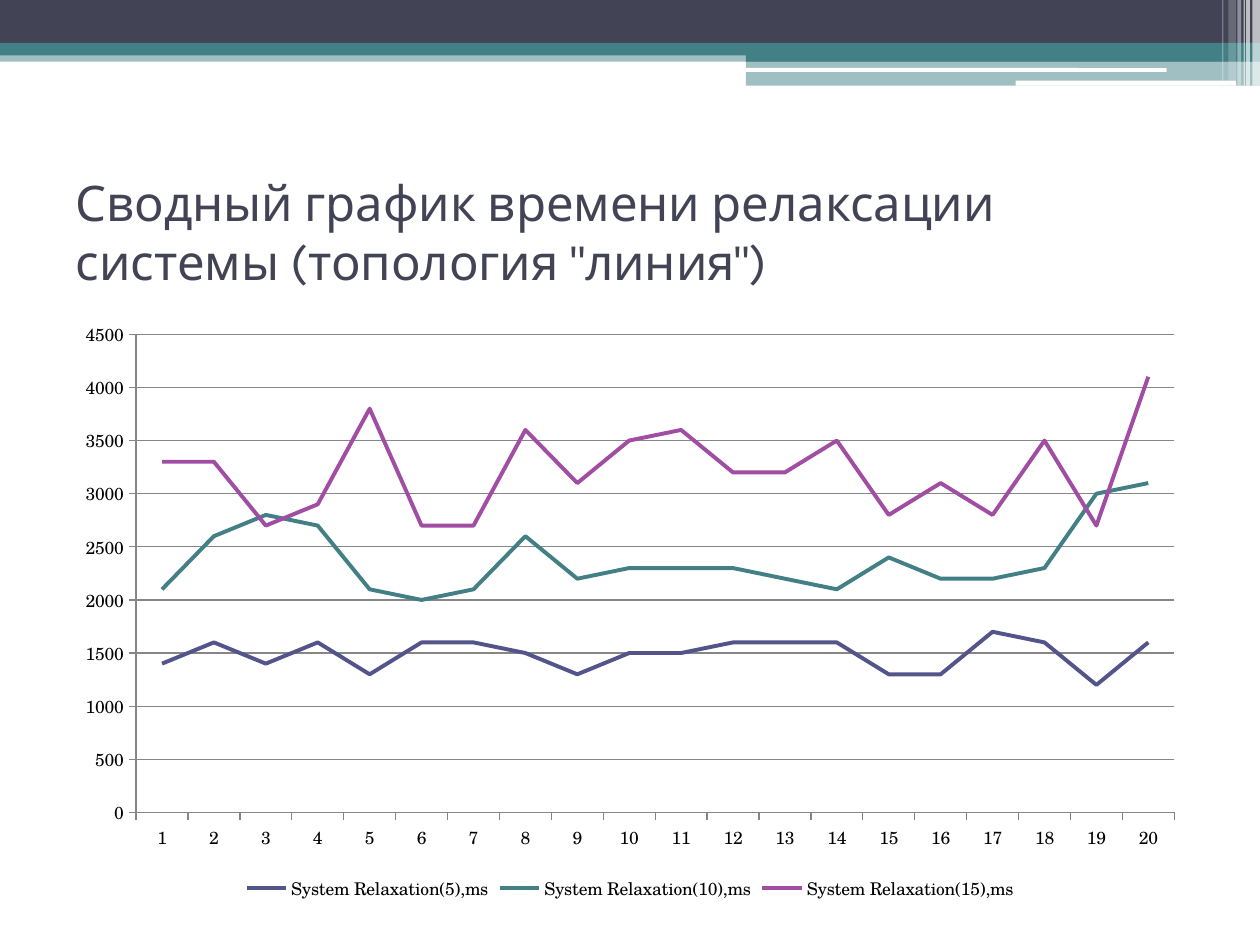
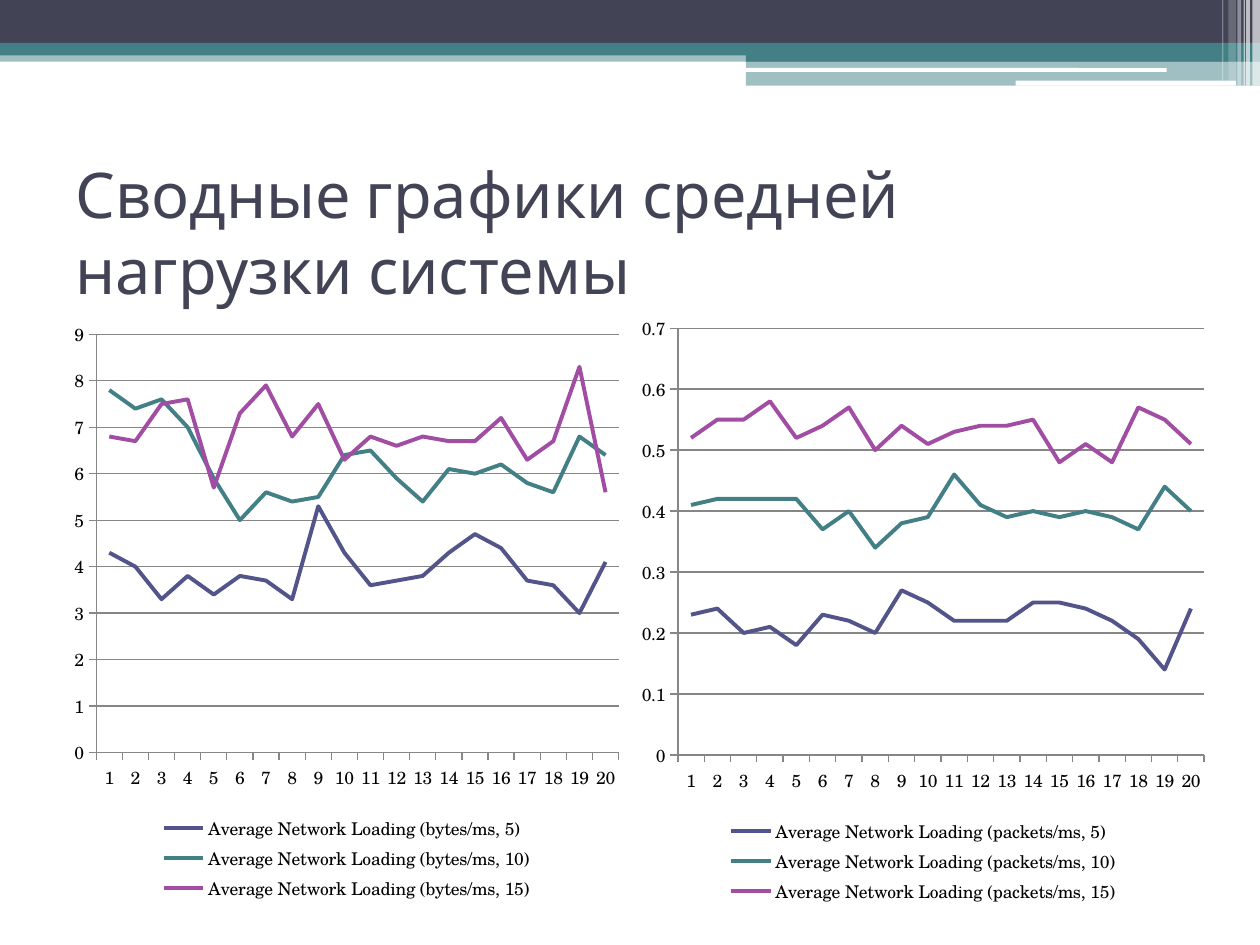
"""Two slides of line charts on network relaxation time and load, under a shared banded header."""
from dataclasses import dataclass

from lxml import etree
from pptx import Presentation
from pptx.chart.data import CategoryChartData
from pptx.dml.color import RGBColor
from pptx.enum.chart import XL_CHART_TYPE, XL_LEGEND_POSITION, XL_MARKER_STYLE, XL_TICK_MARK
from pptx.enum.shapes import MSO_SHAPE
from pptx.enum.text import MSO_ANCHOR, MSO_AUTO_SIZE, PP_ALIGN
from pptx.oxml.ns import qn
from pptx.util import Inches, Pt

LINE_CHART = XL_CHART_TYPE.LINE
LEGEND_BOTTOM = XL_LEGEND_POSITION.BOTTOM
NO_MARKER = XL_MARKER_STYLE.NONE
TICK_OUT, TICK_NONE = XL_TICK_MARK.OUTSIDE, XL_TICK_MARK.NONE
RECT, ROUNDED = MSO_SHAPE.RECTANGLE, MSO_SHAPE.ROUNDED_RECTANGLE
MIDDLE, LEFT, NO_FIT = MSO_ANCHOR.MIDDLE, PP_ALIGN.LEFT, MSO_AUTO_SIZE.NONE


@dataclass(frozen=True)
class Theme:
    navy: RGBColor = RGBColor.from_string("424456")
    teal: RGBColor = RGBColor.from_string("438086")
    white: RGBColor = RGBColor.from_string("FFFFFF")
    ink: RGBColor = RGBColor.from_string("000000")
    grid: RGBColor = RGBColor.from_string("868686")
    indigo: RGBColor = RGBColor.from_string("53548A")
    purple: RGBColor = RGBColor.from_string("A04DA3")
    title_font: str = "Karla"
    chart_font: str = "TeX Gyre Schola"
    chart_size: Pt = Pt(10)
    series_width: Pt = Pt(2.25)
    axis_width: Pt = Pt(0.75)


theme = Theme()
prs = Presentation()
prs.slide_width, prs.slide_height = Inches(10), Inches(7.5)
COLUMN, ROW = prs.slide_width / 100, prs.slide_height / 75


def place(left, top, width, height):
    """Turn columns and rows of the slide grid into lengths."""
    return round(left * COLUMN), round(top * ROW), round(width * COLUMN), round(height * ROW)


def style_line(line, color, width):
    """Give a chart line its colour and width."""
    line.color.rgb = color
    line.width = width


header_bands = [
    (RECT, (0, 4, 100, 0.9), theme.teal, 50),
    (RECT, (0, 0, 100, 3.4), theme.navy, 100),
    (RECT, (0, 3.4, 100, 1), theme.teal, 100),
    (RECT, (59.2, 3.9, 40.8, 1), theme.teal, 100),
    (RECT, (59.2, 4.8, 40.8, 2), theme.teal, 50),
    (ROUNDED, (59.1, 5.4, 33.5, 0.3), theme.white, 100),
    (ROUNDED, (80.6, 6.4, 17.5, 0.4), theme.white, 100),
]
edge_stripes = [
    (99.4, 0.6, 6.8, 65), (98.9, 0.3, 6.8, 65), (98.7, 0.1, 6.8, 60),
    (98.2, 0.3, 6.8, 40), (97.5, 0.6, 6.4, 20), (97, 0.1, 6.4, 30),
]
header_bands += [(RECT, (left, 0, width, height), theme.white, opacity)
                 for left, width, height, opacity in edge_stripes]

relaxation = {
    "box": (5, 24.6, 90, 47.3), "top": 4500, "step": 500,
    "series": {
        "System Relaxation(5),ms": [
            1400, 1600, 1400, 1600, 1300, 1600, 1600, 1500, 1300, 1500,
            1500, 1600, 1600, 1600, 1300, 1300, 1700, 1600, 1200, 1600],
        "System Relaxation(10),ms": [
            2100, 2600, 2800, 2700, 2100, 2000, 2100, 2600, 2200, 2300,
            2300, 2300, 2200, 2100, 2400, 2200, 2200, 2300, 3000, 3100],
        "System Relaxation(15),ms": [
            3300, 3300, 2700, 2900, 3800, 2700, 2700, 3600, 3100, 3500,
            3600, 3200, 3200, 3500, 2800, 3100, 2800, 3500, 2700, 4100],
    },
}
byte_load = {
    "box": (5, 24.6, 45, 47.3), "top": 9, "step": 1,
    "series": {
        "Average Network Loading (bytes/ms, 5)": [
            4.3, 4, 3.3, 3.8, 3.4, 3.8, 3.7, 3.3, 5.3, 4.3,
            3.6, 3.7, 3.8, 4.3, 4.7, 4.4, 3.7, 3.6, 3, 4.1],
        "Average Network Loading (bytes/ms, 10)": [
            7.8, 7.4, 7.6, 7, 5.9, 5, 5.6, 5.4, 5.5, 6.4,
            6.5, 5.9, 5.4, 6.1, 6, 6.2, 5.8, 5.6, 6.8, 6.4],
        "Average Network Loading (bytes/ms, 15)": [
            6.8, 6.7, 7.5, 7.6, 5.7, 7.3, 7.9, 6.8, 7.5, 6.3,
            6.8, 6.6, 6.8, 6.7, 6.7, 7.2, 6.3, 6.7, 8.3, 5.6],
    },
}
packet_load = {
    "box": (50, 24.1, 46.5, 48), "top": 0.7, "step": 0.1,
    "series": {
        "Average Network Loading (packets/ms, 5)": [
            0.23, 0.24, 0.2, 0.21, 0.18, 0.23, 0.22, 0.2, 0.27, 0.25,
            0.22, 0.22, 0.22, 0.25, 0.25, 0.24, 0.22, 0.19, 0.14, 0.24],
        "Average Network Loading (packets/ms, 10)": [
            0.41, 0.42, 0.42, 0.42, 0.42, 0.37, 0.4, 0.34, 0.38, 0.39,
            0.46, 0.41, 0.39, 0.4, 0.39, 0.4, 0.39, 0.37, 0.44, 0.4],
        "Average Network Loading (packets/ms, 15)": [
            0.52, 0.55, 0.55, 0.58, 0.52, 0.54, 0.57, 0.5, 0.54, 0.51,
            0.53, 0.54, 0.54, 0.55, 0.48, 0.51, 0.48, 0.57, 0.55, 0.51],
    },
}
pages = [
    ('Сводный график времени релаксации системы (топология "линия")', Pt(28), [relaxation]),
    ("Сводные графики средней нагрузки системы", Pt(36), [byte_load, packet_load]),
]
title_only = prs.slide_layouts[5]

for heading, heading_size, plots in pages:
    slide = prs.slides.add_slide(title_only)
    title = slide.shapes.title
    title.left, title.top, title.width, title.height = place(5, 12.5, 90, 11.7)
    title.text_frame.text = heading
    title.text_frame.auto_size = NO_FIT
    title.text_frame.vertical_anchor = MIDDLE
    title_line = title.text_frame.paragraphs[0]
    title_line.alignment = LEFT
    title_line.font.name = theme.title_font
    title_line.font.size = heading_size
    title_line.font.color.rgb = theme.navy

    for plot in plots:
        measurements = CategoryChartData()
        measurements.categories = [str(run) for run in range(1, 21)]
        for label, values in plot["series"].items():
            measurements.add_series(label, values)
        chart = slide.shapes.add_chart(LINE_CHART, *place(*plot["box"]), measurements).chart
        chart.has_title = False
        chart.font.name = theme.chart_font
        chart.font.size = theme.chart_size
        chart.font.color.rgb = theme.ink
        chart.has_legend = True
        chart.legend.position = LEGEND_BOTTOM
        chart.legend.include_in_layout = False
        chart.plots[0].vary_by_categories = False

        for axis in (chart.category_axis, chart.value_axis):
            axis.major_tick_mark, axis.minor_tick_mark = TICK_OUT, TICK_NONE
            style_line(axis.format.line, theme.grid, theme.axis_width)
        scale = chart.value_axis
        scale.minimum_scale, scale.maximum_scale = 0, plot["top"]
        scale.major_unit = plot["step"]
        scale.has_major_gridlines = True
        style_line(scale.major_gridlines.format.line, theme.grid, theme.axis_width)

        for series, color in zip(chart.plots[0].series, (theme.indigo, theme.teal, theme.purple)):
            series.smooth = False
            series.marker.style = NO_MARKER
            style_line(series.format.line, color, theme.series_width)

master_tree = prs.slide_master.element.cSld.spTree
for number, (outline, box, color, opacity) in enumerate(header_bands, start=101):
    band = slide.shapes.add_shape(outline, *place(*box))
    band.shadow.inherit = False
    band.line.fill.background()
    band.fill.solid()
    band.fill.fore_color.rgb = color
    if opacity < 100:
        tint = band.element.spPr.find(qn("a:solidFill"))[0]
        etree.SubElement(tint, qn("a:alpha"), val=str(opacity * 1000))
    band.element.nvSpPr.cNvPr.set("id", str(number))
    master_tree.append(band.element)

prs.save("out.pptx")
